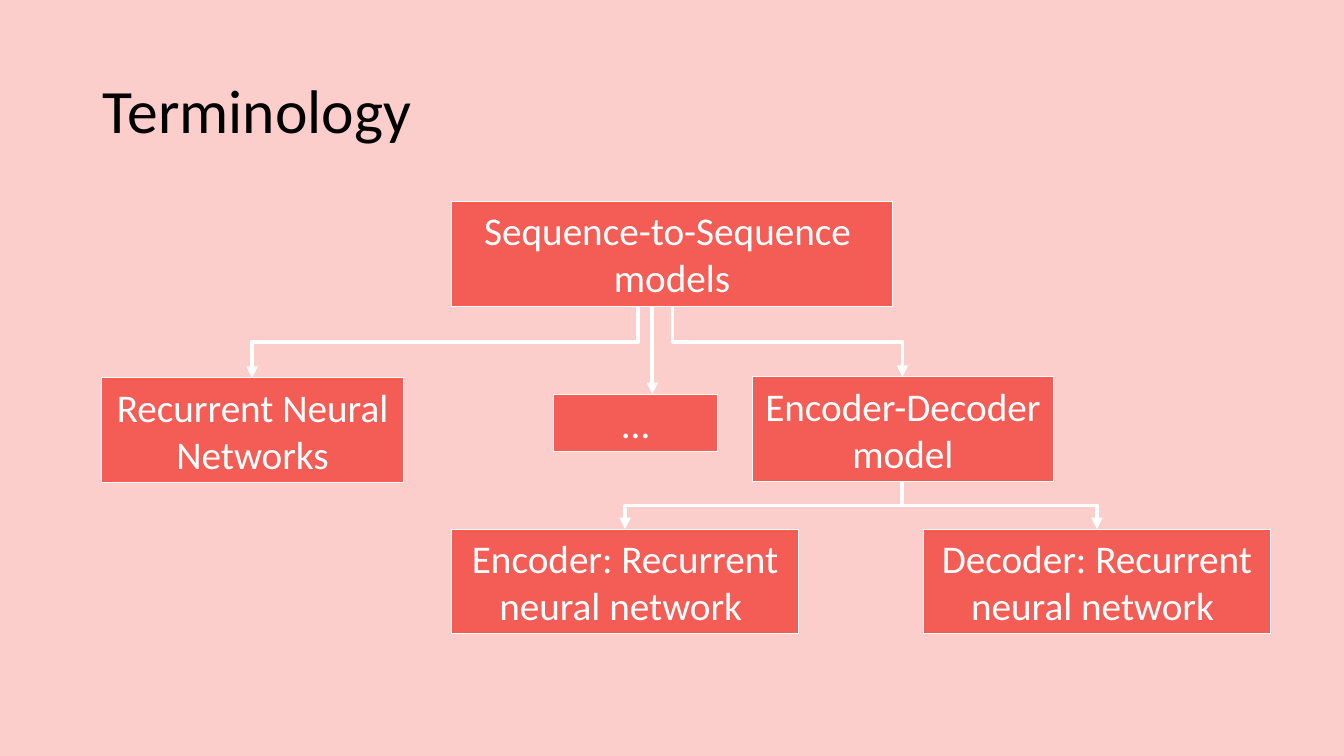
from lxml.etree import SubElement
from pptx import Presentation
from pptx.dml.color import RGBColor
from pptx.enum.shapes import MSO_CONNECTOR as CONN, MSO_SHAPE
from pptx.enum.text import MSO_ANCHOR as ANCHOR, MSO_AUTO_SIZE as FIT, PP_ALIGN as ALIGN
from pptx.oxml.ns import qn
from pptx.util import Pt

PX = 9144  # 100 px to the inch
CORAL = RGBColor(0xF3, 0x5D, 0x56)
PINK = RGBColor(0xFB, 0xCD, 0xCB)
WHITE = RGBColor(0xFF, 0xFF, 0xFF)
BLACK = RGBColor(0x00, 0x00, 0x00)
FONT = "Calibri"

BOXES = [
    (448, 200, 437, 104, ["Sequence-to-Sequence ", "models"]),
    (101, 375, 299, 104, ["Recurrent Neural Networks"]),
    (746, 374, 299, 104, ["Encoder-Decoder model"]),
    (448, 525, 344, 104, ["Encoder: Recurrent neural network "]),
    (916, 525, 344, 104, ["Decoder: Recurrent neural network "]),
    (549, 391, 163, 57, ["…"]),
]
ARROWS = [
    (633, 304, 250, 375),
    (667, 304, 895, 374),
    (895, 478, 1088, 525),
    (895, 478, 620, 525),
    (647, 304, 647, 391),
]


def px(*lengths):
    return [round(n * PX) for n in lengths]


def add_run(p, text, size, color):
    r = p.add_run()
    r.text = text
    r.font.size = Pt(size)
    r.font.name = FONT
    r.font.color.rgb = color


def add_title(slide, text):
    sp = slide.shapes.title
    sp.left, sp.top, sp.width, sp.height = px(92, 40, 1150, 145)
    tf = sp.text_frame
    tf.auto_size = FIT.NONE
    tf.vertical_anchor = ANCHOR.MIDDLE
    p = tf.paragraphs[0]
    p.alignment = ALIGN.LEFT
    p.line_spacing = 0.9
    add_run(p, text, 44, BLACK)


def add_box(slide, x, y, w, h, lines):
    sp = slide.shapes.add_shape(MSO_SHAPE.RECTANGLE, *px(x, y, w, h))
    sp.shadow.inherit = False
    sp.fill.solid()
    sp.fill.fore_color.rgb = CORAL
    sp.line.color.rgb = WHITE
    sp.line.width = Pt(0.75)
    tf = sp.text_frame
    tf.word_wrap = True
    tf.auto_size = FIT.SHAPE_TO_FIT_TEXT
    tf.vertical_anchor = ANCHOR.TOP
    for i, line in enumerate(lines):
        p = tf.add_paragraph() if i else tf.paragraphs[0]
        p.alignment = ALIGN.CENTER
        add_run(p, line, 28, WHITE)


def add_arrow(slide, x1, y1, x2, y2):
    """Arrow that leaves and arrives vertically, with an elbow halfway down."""
    if x1 == x2:
        cxn = slide.shapes.add_connector(CONN.STRAIGHT, *px(x1, y1, x2, y2))
    else:
        # An elbow runs sideways first, so lay it flat and turn it about its centre.
        cx, cy = (x1 + x2) / 2, (y1 + y2) / 2
        half_w, half_h = (y2 - y1) / 2, abs(x2 - x1) / 2
        rotation = 90
        if x2 > x1:
            half_w, rotation = -half_w, 270
        cxn = slide.shapes.add_connector(
            CONN.ELBOW, *px(cx - half_w, cy - half_h, cx + half_w, cy + half_h))
        cxn._element.spPr.find(qn("a:xfrm")).set("rot", str(rotation * 60000))
    cxn.line.color.rgb = WHITE
    cxn.line.width = Pt(2.75)
    SubElement(cxn.line._get_or_add_ln(), qn("a:tailEnd"), type="triangle")
    SubElement(cxn._element.spPr, qn("a:effectLst"))


def main():
    prs = Presentation()
    prs.slide_width, prs.slide_height = px(1333, 750)
    slide = prs.slides.add_slide(prs.slide_layouts[5])
    fill = slide.background.fill
    fill.solid()
    fill.fore_color.rgb = PINK
    add_title(slide, "Terminology")
    for box in BOXES:
        add_box(slide, *box)
    for arrow in ARROWS:
        add_arrow(slide, *arrow)
    prs.save("out.pptx")


if __name__ == "__main__":
    main()
